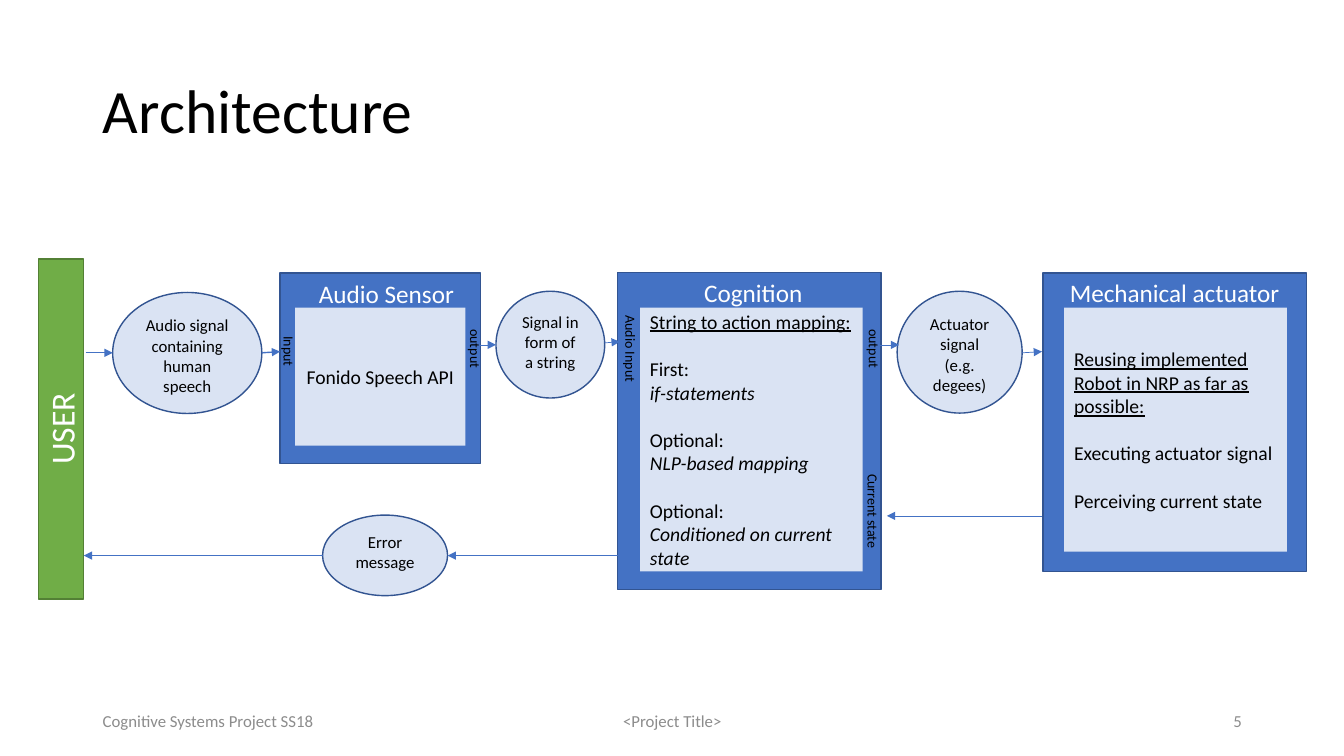
from dataclasses import dataclass
from typing import Optional

from lxml import etree
from pptx import Presentation
from pptx import util as u
from pptx.dml.color import RGBColor
from pptx.enum import shapes, text
from pptx.oxml.ns import qn

FONT = "Calibri"
BLACK = RGBColor(0x00, 0x00, 0x00)
WHITE = RGBColor(0xFF, 0xFF, 0xFF)
GREY = RGBColor(0x8C, 0x8C, 0x8C)
BLUE = RGBColor(0x44, 0x72, 0xC4)
DARK_BLUE = RGBColor(0x32, 0x54, 0x91)
PALE_BLUE = RGBColor(0xDA, 0xE3, 0xF3)
GREEN = RGBColor(0x70, 0xAD, 0x47)
DARK_GREEN = RGBColor(0x53, 0x80, 0x35)

RECT = shapes.MSO_SHAPE.RECTANGLE
OVAL = shapes.MSO_SHAPE.OVAL
LEFT, CENTER, RIGHT = text.PP_ALIGN.LEFT, text.PP_ALIGN.CENTER, text.PP_ALIGN.RIGHT
TOP, MIDDLE = text.MSO_ANCHOR.TOP, text.MSO_ANCHOR.MIDDLE

Area = tuple[float, float, float, float]  # left, top, width, height in cm


@dataclass
class Line:
    """One paragraph; gap is the space above it in points."""
    words: str
    underline: bool = False
    italic: bool = False
    gap: float = 0


@dataclass
class Module:
    """A framed component with a heading and an inner panel."""
    heading: str
    frame: Area
    heading_area: Area
    panel: Area
    lines: list[Line]
    align: text.PP_ALIGN = LEFT


@dataclass
class Message:
    """An ellipse that names the data passed between components."""
    words: str
    area: Area


@dataclass
class Arrow:
    """A straight arrow in cm."""
    start: tuple[float, float]
    end: tuple[float, float]
    weight: float = 0.5


@dataclass
class Port:
    """A sideways label, placed by its centre, on a module's edge."""
    words: str
    x: float
    y: float
    length: float = 1.7


GAP = 17  # one empty line of 14 pt text

MODULES = [
    Module("Audio Sensor", (7.06, 6.88, 5.05, 4.8), (7.77, 6.88, 3.94, 1.8),
           (7.44, 7.75, 4.29, 3.48), [Line("Fonido Speech API")], CENTER),
    Module("Cognition", (15.57, 6.86, 6.63, 8), (16.61, 6.86, 4.75, 1.8),
           (16.13, 7.75, 5.61, 6.65),
           [Line("String to action mapping:", underline=True),
            Line("First: ", gap=GAP), Line("if-statements", italic=True),
            Line("Optional: ", gap=GAP), Line("NLP-based mapping", italic=True),
            Line("Optional:", gap=GAP),
            Line("Conditioned on current state", italic=True)]),
    Module("Mechanical actuator", (26.29, 6.88, 6.63, 7.52), (26.49, 6.86, 6.22, 1.8),
           (26.82, 7.75, 5.61, 6.15),
           [Line("Reusing implemented Robot in NRP as far as possible:", underline=True),
            Line("Executing actuator signal", gap=GAP),
            Line("Perceiving current state", gap=GAP)]),
]
MESSAGES = [
    Message("Audio signal containing human speech", (2.84, 7.37, 3.76, 3.05)),
    Message("Signal in form of a string", (12.5, 7.34, 2.74, 2.69)),
    Message("Actuator signal (e.g. degees)", (22.61, 7.34, 3.15, 3.07)),
    Message("Error message", (8.13, 12.98, 3.15, 2.03)),
]
ARROWS = [
    Arrow((2.16, 8.89), (2.84, 8.89), 1),
    Arrow((6.6, 8.89), (7.06, 8.86), 1),
    Arrow((12.09, 8.69), (12.5, 8.69)),
    Arrow((15.24, 8.64), (15.62, 8.61)),
    Arrow((21.92, 8.69), (22.66, 8.69)),
    Arrow((25.76, 8.89), (26.26, 8.86)),
    Arrow((26.26, 13), (22.35, 13)),
    Arrow((16.03, 14), (11.28, 14)),
    Arrow((8.13, 14), (2.11, 14)),
]
PORTS = [
    Port("Input", 7.28, 9.08),
    Port("output", 11.98, 8.9),
    Port("Audio Input", 15.89, 8.88, 2.36),
    Port("output", 22.03, 8.9),
    Port("Current state", 22, 13.02, 2.64),
]
FOOTERS = [
    ("Cognitive Systems Project SS18", (2.34, 17.65, 7.62, 1.02), LEFT),
    ("<Project Title>", (11.23, 17.65, 11.43, 1.02), CENTER),
    ("5", (23.93, 17.65, 7.62, 1.02), RIGHT),
]


def write(shape, lines: list[Line], size: float, color: RGBColor = BLACK,
          align: text.PP_ALIGN = CENTER, anchor: text.MSO_ANCHOR = TOP) -> None:
    """Fill a shape with evenly formatted paragraphs."""
    frame = shape.text_frame
    frame.word_wrap = True
    frame.vertical_anchor = anchor
    for index, line in enumerate(lines):
        para = frame.paragraphs[0] if index == 0 else frame.add_paragraph()
        para.text = line.words
        para.alignment = align
        para.space_before = u.Pt(line.gap)
        font = para.font
        font.name, font.size = FONT, u.Pt(size)
        font.underline, font.italic = line.underline, line.italic
        font.color.rgb = color


def add_block(page, kind: shapes.MSO_SHAPE, area: Area, fill: RGBColor,
              outline: Optional[RGBColor] = None):
    """Draw a filled preset shape, with an outline if a colour is given."""
    block = page.shapes.add_shape(kind, *map(u.Cm, area))
    block.shadow.inherit = False
    block.fill.solid()
    block.fill.fore_color.rgb = fill
    if outline is None:
        block.line.fill.background()
    else:
        block.line.color.rgb = outline
        block.line.width = u.Pt(1)
    return block


def add_label(page, words: str, area: Area, size: float, color: RGBColor,
              align: text.PP_ALIGN, anchor: text.MSO_ANCHOR = TOP):
    """Place a one-paragraph text box."""
    box = page.shapes.add_textbox(*map(u.Cm, area))
    write(box, [Line(words)], size, color, align, anchor)
    return box


def add_module(page, module: Module) -> None:
    """Draw a component: frame, heading and inner panel."""
    add_block(page, RECT, module.frame, BLUE, DARK_BLUE)
    add_label(page, module.heading, module.heading_area, 18, WHITE, CENTER)
    panel = add_block(page, RECT, module.panel, PALE_BLUE)
    write(panel, module.lines, 14, align=module.align, anchor=MIDDLE)


def add_arrow(page, arrow: Arrow) -> None:
    """Draw a connector with a triangle at its end."""
    line = page.shapes.add_connector(
        shapes.MSO_CONNECTOR.STRAIGHT, *map(u.Cm, arrow.start + arrow.end))
    line.line.color.rgb = BLUE
    line.line.width = u.Pt(arrow.weight)
    etree.SubElement(line.line._get_or_add_ln(), qn("a:tailEnd"), type="triangle")
    etree.SubElement(line._element.spPr, qn("a:effectLst"))


def add_port(page, port: Port) -> None:
    """Place a label turned to read downwards."""
    height = 0.69
    area = (port.x - port.length / 2, port.y - height / 2, port.length, height)
    add_label(page, port.words, area, 10, BLACK, LEFT).rotation = 90


def main() -> None:
    """Build the architecture slide."""
    deck = Presentation()
    deck.slide_width, deck.slide_height = u.Cm(33.87), u.Cm(19.05)
    page = deck.slides.add_slide(deck.slide_layouts.get_by_name("Title Only"))

    title = page.shapes.title
    title.left, title.top, title.width, title.height = map(u.Cm, (2.34, 1.02, 29.21, 3.68))
    write(title, [Line("Architecture")], 44, align=LEFT, anchor=MIDDLE)
    title.text_frame.paragraphs[0].line_spacing = 0.9

    for words, area, align in FOOTERS:
        add_label(page, words, area, 12, GREY, align, MIDDLE)
    for module in MODULES:
        add_module(page, module)
    user = add_block(page, RECT, (-2.74, 10.24, 8.56, 1.14), GREEN, DARK_GREEN)
    user.rotation = 270
    write(user, [Line("USER")], 24, WHITE, anchor=MIDDLE)
    for message in MESSAGES:
        ellipse = add_block(page, OVAL, message.area, PALE_BLUE, DARK_BLUE)
        write(ellipse, [Line(message.words)], 12)
    for arrow in ARROWS:
        add_arrow(page, arrow)
    for port in PORTS:
        add_port(page, port)

    deck.save("out.pptx")


main()
